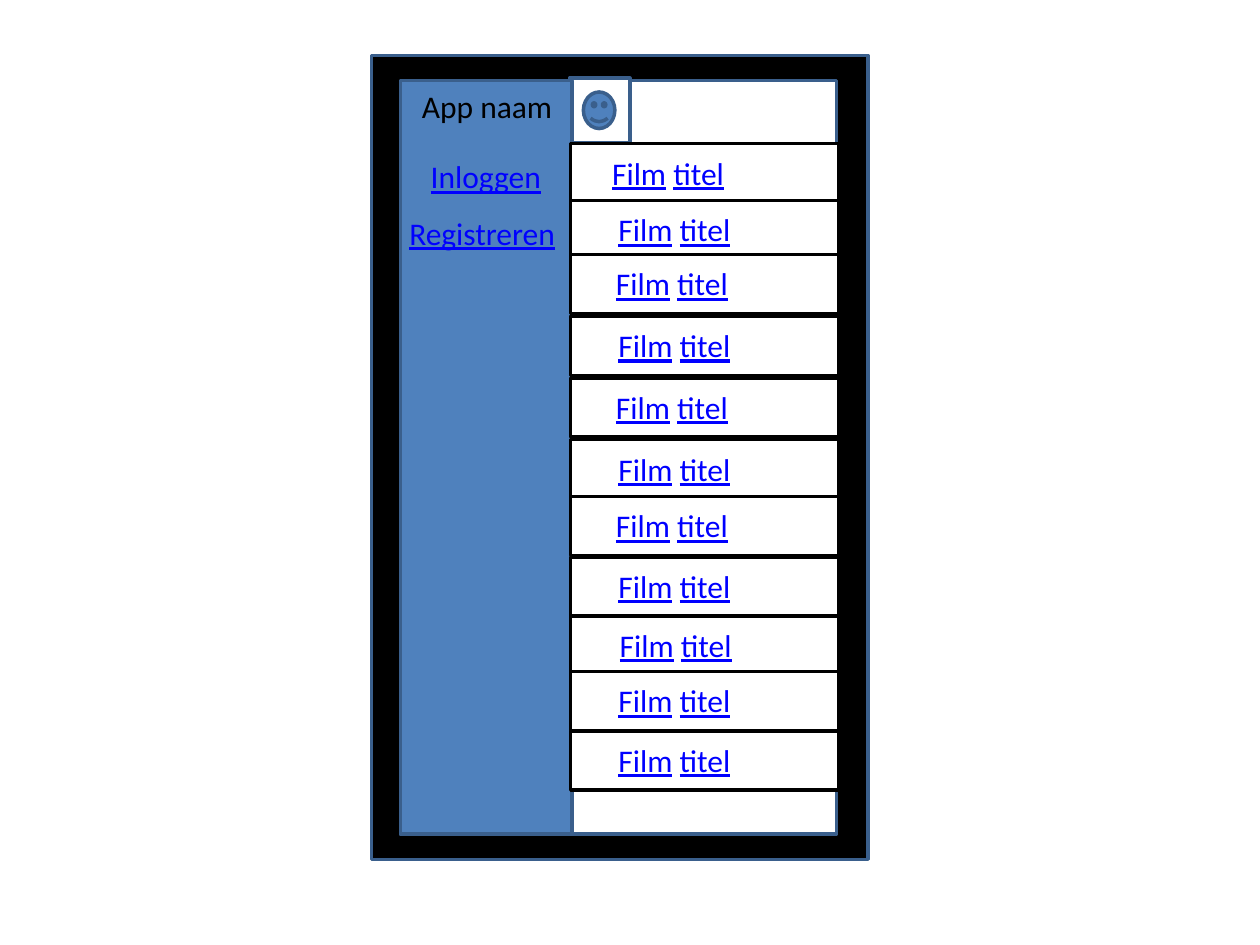
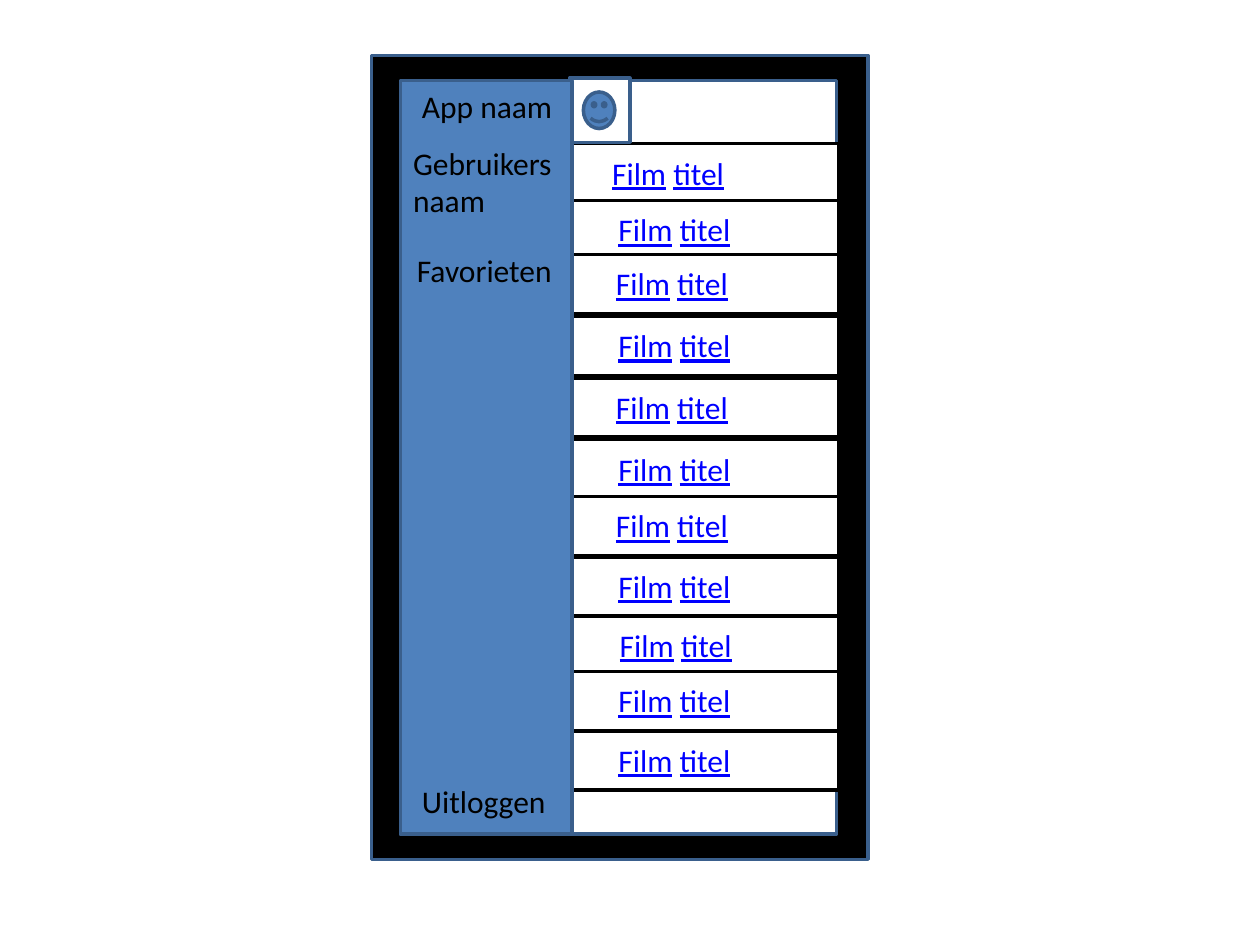
from typing import NamedTuple

from pptx import Presentation, util as u
from pptx.dml.color import RGBColor
from pptx.enum import shapes, text
from pptx.shapes.autoshape import Shape
from pptx.slide import Slide

PX = u.Inches(1) // 100  # lengths are in px, 100 to the inch

BLACK = RGBColor(0x00, 0x00, 0x00)
WHITE = RGBColor(0xFF, 0xFF, 0xFF)
BLUE = RGBColor(0x4F, 0x81, 0xBD)
DARK_BLUE = RGBColor(0x3A, 0x5F, 0x8C)
LINK_BLUE = RGBColor(0x00, 0x00, 0xFF)

BODY_FONT = {"name": "Calibri", "size": u.Pt(18), "underline": False}
LINK_FONT = BODY_FONT | {"underline": True}

RECTANGLE = shapes.MSO_SHAPE.RECTANGLE
SMILEY = shapes.MSO_SHAPE.SMILEY_FACE


class Box(NamedTuple):
    left: int
    top: int
    width: int
    height: int


class Panel(NamedTuple):
    box: Box
    fill: RGBColor
    line: RGBColor = DARK_BLUE
    kind: shapes.MSO_SHAPE = RECTANGLE


class Label(NamedTuple):
    text: str
    box: Box
    link: bool = False


class FilmRow(NamedTuple):
    top: int
    title_left: int


PHONE = (
    Panel(Box(295, 44, 394, 638), BLACK),
    Panel(Box(318, 64, 346, 598), WHITE),
)
MENU = (
    Panel(Box(452, 62, 48, 51), WHITE),
    Panel(Box(463, 73, 25, 29), BLUE, kind=SMILEY),
    Panel(Box(318, 64, 136, 598), BLUE),
)
FILM_ROWS = (
    FilmRow(114, 476),
    FilmRow(159, 481),
    FilmRow(202, 479),
    FilmRow(251, 481),
    FilmRow(300, 479),
    FilmRow(349, 481),
    FilmRow(394, 479),
    FilmRow(442, 481),
    FilmRow(489, 482),
    FilmRow(533, 481),
    FilmRow(580, 481),
)
FILM_PANELS = tuple(Panel(Box(453, row.top, 213, 47), WHITE, BLACK) for row in FILM_ROWS)

APP_NAME = Label("App naam", Box(325, 64, 125, 40))
GUEST_LABELS = (
    APP_NAME,
    Label("Inloggen", Box(332, 120, 109, 40), link=True),
    Label("Registreren", Box(315, 165, 137, 40), link=True),
)
USER_LABELS = (
    APP_NAME,
    Label("Gebruikers\vnaam", Box(318, 109, 131, 71)),
    Label("Favorieten", Box(321, 194, 128, 40)),
    Label("Uitloggen", Box(325, 616, 119, 40)),
)


def scaled(box: Box) -> list[int]:
    return [length * PX for length in box]


def draw_panels(slide: Slide, panels: tuple[Panel, ...]) -> None:
    for panel in panels:
        shape = slide.shapes.add_shape(panel.kind, *scaled(panel.box))
        shape.shadow.inherit = False
        shape.fill.solid()
        shape.fill.fore_color.rgb = panel.fill
        shape.line.color.rgb = panel.line
        shape.line.width = u.Pt(2)


def add_text_box(slide: Slide, box: Box, wrap: bool) -> Shape:
    text_box = slide.shapes.add_textbox(*scaled(box))
    text_box.text_frame.word_wrap = wrap
    text_box.text_frame.auto_size = text.MSO_AUTO_SIZE.SHAPE_TO_FIT_TEXT
    return text_box


def format_run(run, link: bool) -> None:
    for name, value in (LINK_FONT if link else BODY_FONT).items():
        setattr(run.font, name, value)
    run.font.color.rgb = LINK_BLUE if link else BLACK


def draw_labels(slide: Slide, labels: tuple[Label, ...]) -> None:
    for label in labels:
        paragraph = add_text_box(slide, label.box, wrap=False).text_frame.paragraphs[0]
        paragraph.text = label.text
        for run in paragraph.runs:
            format_run(run, label.link)


def draw_film_titles(slide: Slide) -> None:
    """Underline the two words of each title, but not the space between them."""
    for row in FILM_ROWS:
        box = Box(row.title_left, row.top + 3, 188, 40)
        paragraph = add_text_box(slide, box, wrap=True).text_frame.paragraphs[0]
        for part in ("Film", " ", "titel"):
            run = paragraph.add_run()
            run.text = part
            format_run(run, link=part != " ")


def draw_menu(slide: Slide, labels: tuple[Label, ...]) -> None:
    draw_panels(slide, MENU)
    draw_labels(slide, labels)


def add_phone_slide(presentation) -> Slide:
    slide = presentation.slides.add_slide(presentation.slide_layouts[6])
    draw_panels(slide, PHONE)
    return slide


def main() -> None:
    presentation = Presentation()
    presentation.slide_width = 1000 * PX
    presentation.slide_height = 750 * PX

    guest_slide = add_phone_slide(presentation)
    draw_menu(guest_slide, GUEST_LABELS)
    draw_panels(guest_slide, FILM_PANELS)
    draw_film_titles(guest_slide)

    user_slide = add_phone_slide(presentation)
    draw_panels(user_slide, FILM_PANELS)
    draw_menu(user_slide, USER_LABELS)
    draw_film_titles(user_slide)

    presentation.save("out.pptx")


if __name__ == "__main__":
    main()
